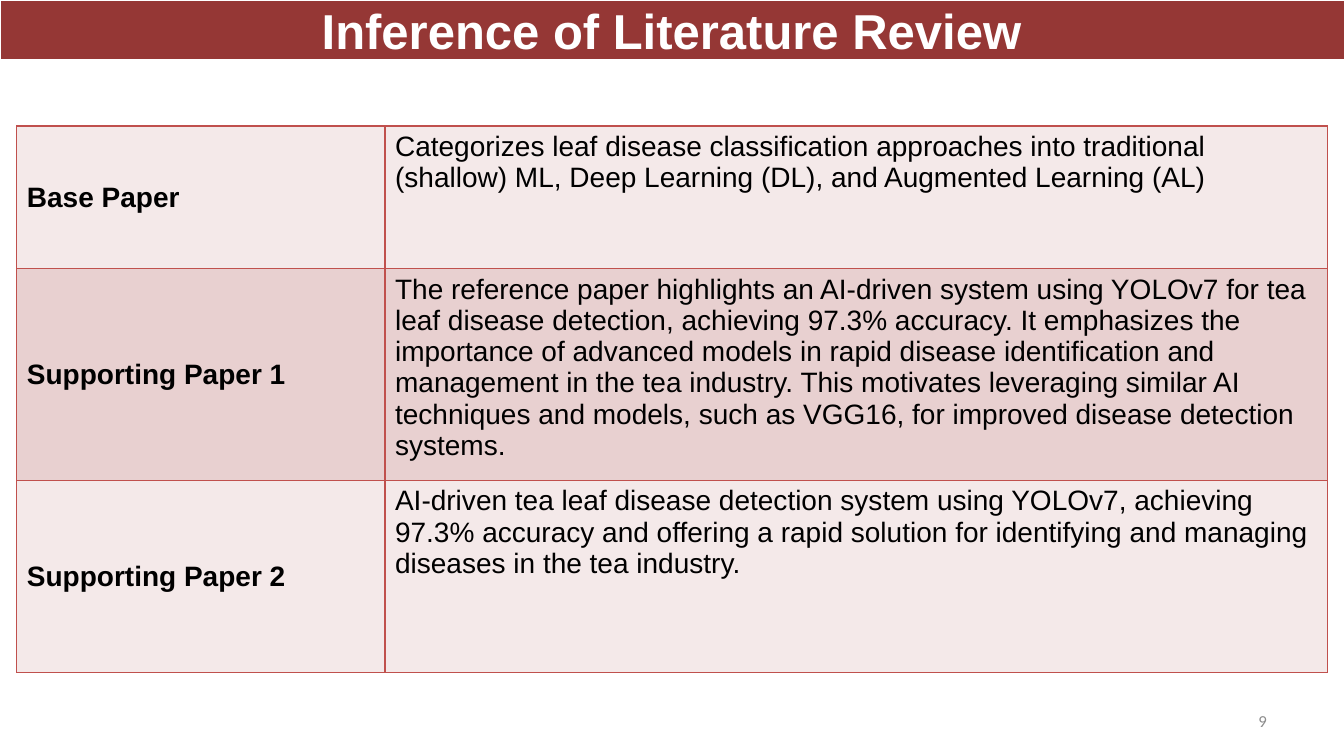
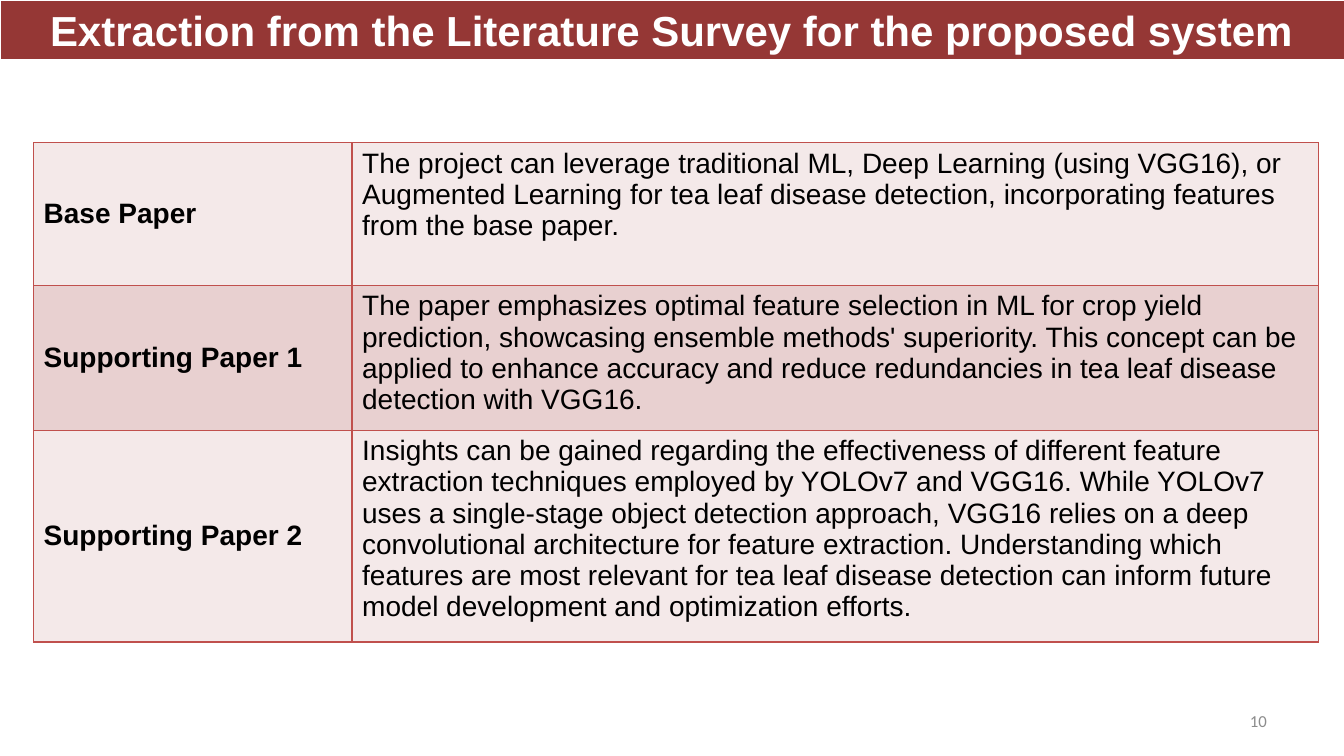
import pptx
import pptx.dml.color
import pptx.enum.text
import pptx.oxml
import pptx.oxml.ns
import pptx.util

Pt = pptx.util.Pt
ALIGN = pptx.enum.text.PP_ALIGN
MIDDLE = pptx.enum.text.MSO_ANCHOR.MIDDLE
TOP = pptx.enum.text.MSO_ANCHOR.TOP

WIDTH, HEIGHT = 960, 540
COLORS = {
    "band": "953735",
    "white": "FFFFFF",
    "text": "000000",
    "number": "8C8C8C",
    "border": "C0504D",
    "light row": "F4E9E9",
    "dark row": "E8D0D0",
}


def rgb(name):
    return pptx.dml.color.RGBColor.from_string(COLORS[name])


class Deck:
    """Holds the shared style and the current slide."""

    def __init__(self):
        self.prs = pptx.Presentation()
        self.prs.slide_width, self.prs.slide_height = Pt(WIDTH), Pt(HEIGHT)
        self.slide = None

    def new_slide(self, title, title_size, number):
        self.slide = self.prs.slides.add_slide(self.prs.slide_layouts[5])
        self.page_number(number)
        self.title_band(title, title_size)

    def style(self, frame, size, color, font="Arial", bold=False, align=ALIGN.LEFT):
        paragraph = frame.paragraphs[0]
        paragraph.alignment = align
        for run in paragraph.runs:
            run.font.name, run.font.size, run.font.bold = font, Pt(size), bold
            run.font.color.rgb = rgb(color)

    def title_band(self, text, size):
        band = self.slide.shapes.title
        band.left, band.top, band.width, band.height = Pt(0), Pt(0), Pt(WIDTH), Pt(42)
        band.fill.solid()
        band.fill.fore_color.rgb = rgb("band")
        band.line.color.rgb = rgb("white")
        band.line.width = Pt(0.25)
        frame = band.text_frame
        frame.text = text
        frame.auto_size = pptx.enum.text.MSO_AUTO_SIZE.NONE
        frame.vertical_anchor = MIDDLE
        frame.margin_top = frame.margin_bottom = Pt(0)
        self.style(frame, size, "white", bold=True, align=ALIGN.CENTER)

    def page_number(self, number):
        box = self.slide.shapes.add_textbox(Pt(688), Pt(500.5), Pt(224), Pt(28.75))
        frame = box.text_frame
        frame.word_wrap = True
        frame.vertical_anchor = MIDDLE
        frame.text = str(number)
        self.style(frame, 12, "number", "Calibri", align=ALIGN.RIGHT)

    def paper_table(self, left, top, col_widths, row_heights, rows):
        table = self.slide.shapes.add_table(
            len(rows), len(col_widths), Pt(left), Pt(top),
            Pt(sum(col_widths)), Pt(sum(row_heights))).table
        table.first_row = table.horz_banding = False
        for column, width in zip(table.columns, col_widths):
            column.width = Pt(width)
        for r, (row, height, texts) in enumerate(zip(table.rows, row_heights, rows)):
            row.height = Pt(height)
            for c, (cell, text) in enumerate(zip(row.cells, texts)):
                is_label = c == 0
                cell.text_frame.text = text
                cell.vertical_anchor = MIDDLE if is_label else TOP
                self.style(cell.text_frame, 20, "text", bold=is_label)
                self.cell_borders(cell)
                cell.fill.solid()
                cell.fill.fore_color.rgb = rgb("dark row" if r % 2 else "light row")

    def cell_borders(self, cell):
        properties = cell._tc.get_or_add_tcPr()
        for side in "LRTB":
            properties.append(pptx.oxml.parse_xml(
                f'<a:ln{side} {pptx.oxml.ns.nsdecls("a")} w="{Pt(1)}"><a:solidFill>'
                f'<a:srgbClr val="{COLORS["border"]}"/></a:solidFill></a:ln{side}>'))


def main():
    deck = Deck()
    papers = ("Base Paper", "Supporting Paper 1", "Supporting Paper 2")

    # Findings of each paper
    findings = (
        "Categorizes leaf disease classification approaches into traditional (shallow) ML, "
        "Deep Learning (DL), and Augmented Learning (AL)",
        "The reference paper highlights an AI-driven system using YOLOv7 for tea leaf disease "
        "detection, achieving 97.3% accuracy. It emphasizes the importance of advanced models "
        "in rapid disease identification and management in the tea industry. This motivates "
        "leveraging similar AI techniques and models, such as VGG16, for improved disease "
        "detection systems.",
        "AI-driven tea leaf disease detection system using YOLOv7, achieving 97.3% accuracy "
        "and offering a rapid solution for identifying and managing diseases in the tea "
        "industry.",
    )
    deck.new_slide("Inference of Literature Review", 35, 9)
    deck.paper_table(12, 90, (263, 673), (102, 141, 137), list(zip(papers, findings)))

    # Ideas taken over into the proposed system
    ideas = (
        "The project can leverage traditional ML, Deep Learning (using VGG16), or Augmented "
        "Learning for tea leaf disease detection, incorporating features from the base paper.",
        "The paper emphasizes optimal feature selection in ML for crop yield prediction, "
        "showcasing ensemble methods' superiority. This concept can be applied to enhance "
        "accuracy and reduce redundancies in tea leaf disease detection with VGG16.",
        "Insights can be gained regarding the effectiveness of different feature extraction "
        "techniques employed by YOLOv7 and VGG16. While YOLOv7 uses a single-stage object "
        "detection approach, VGG16 relies on a deep convolutional architecture for feature "
        "extraction. Understanding which features are most relevant for tea leaf disease "
        "detection can inform future model development and optimization efforts.",
    )
    deck.new_slide("Extraction from the Literature Survey for the proposed system", 30, 10)
    deck.paper_table(24, 102, (227.5, 690.5), (102, 102, 141), list(zip(papers, ideas)))

    deck.prs.save("out.pptx")


if __name__ == "__main__":
    main()
